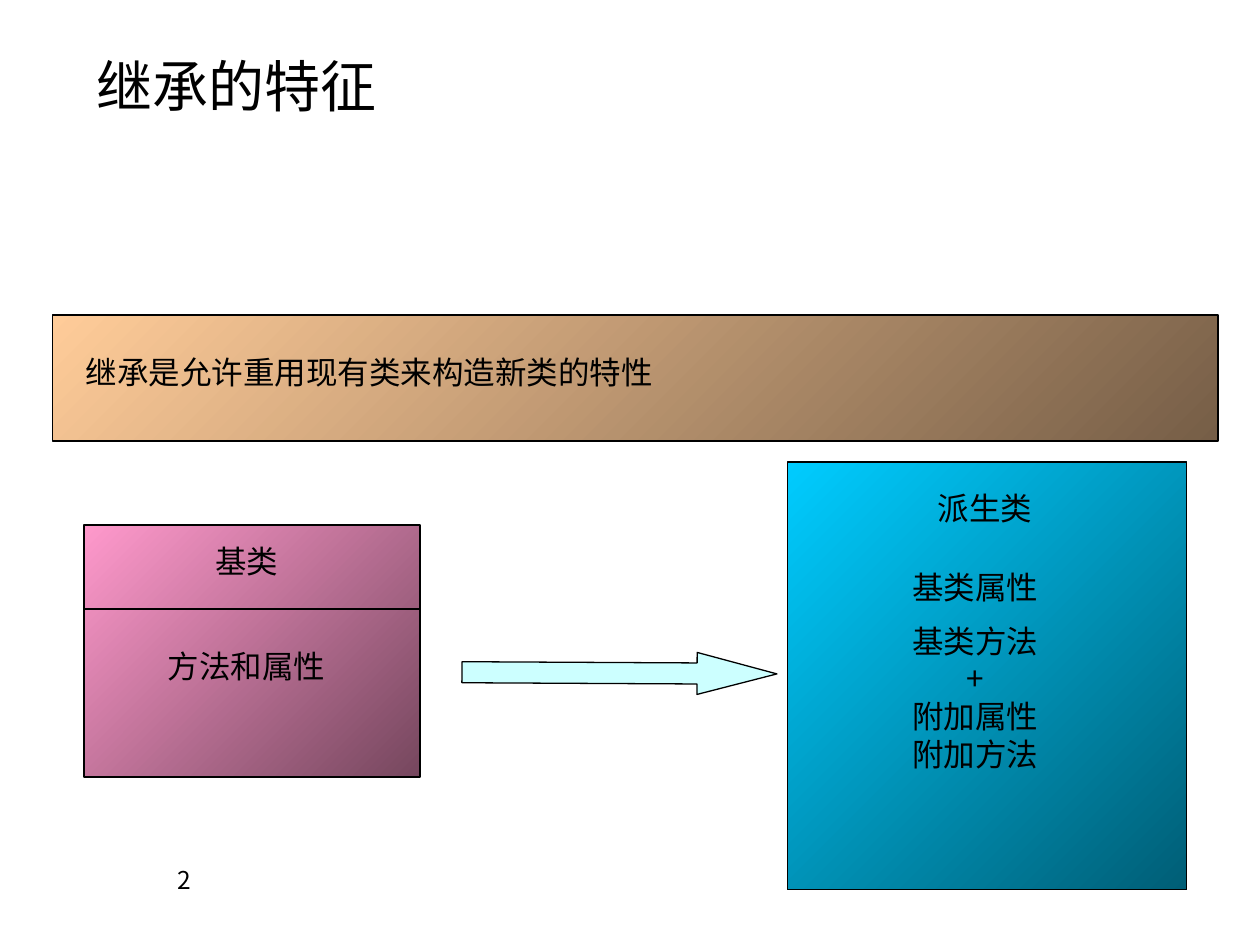
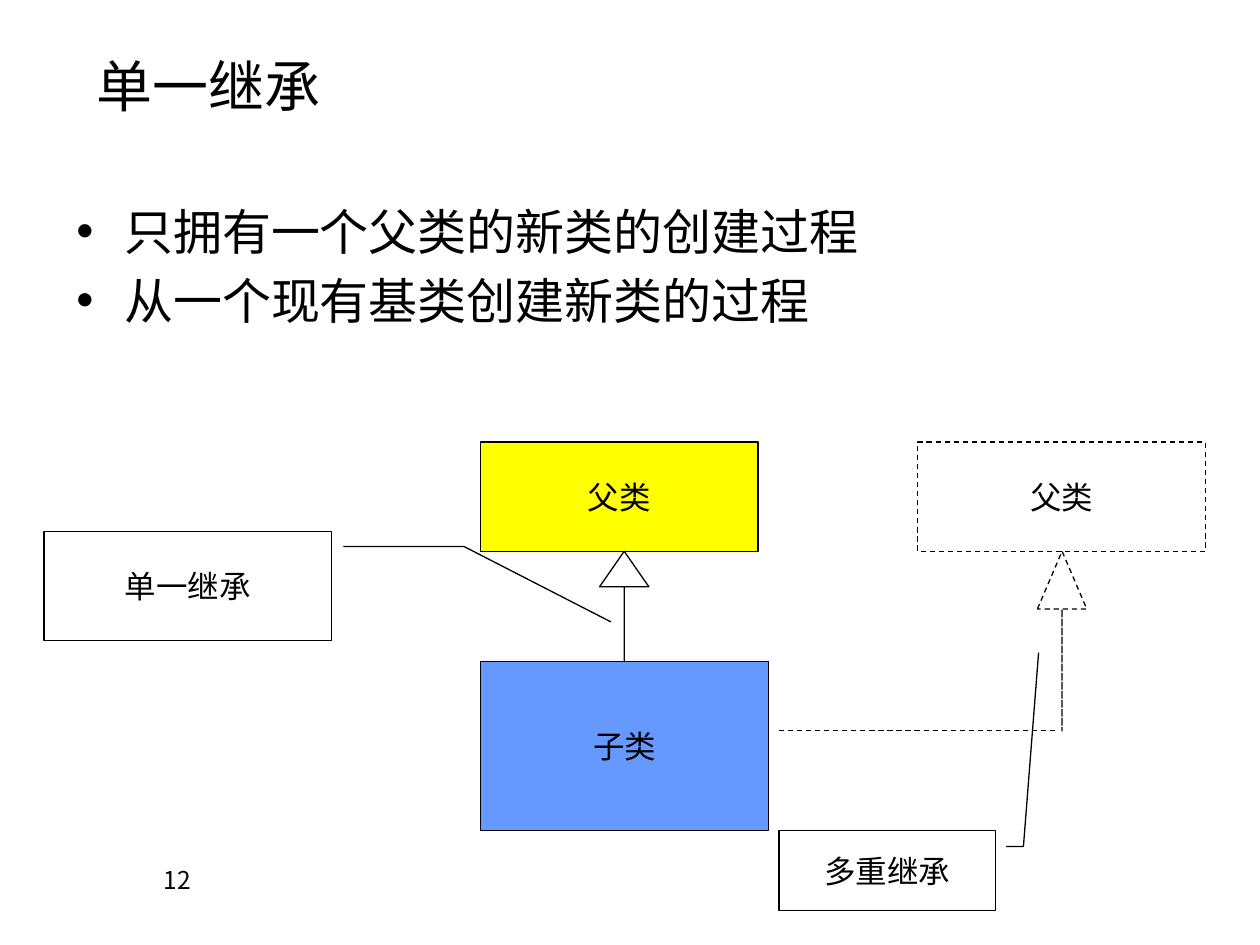
from dataclasses import dataclass

from lxml.etree import SubElement
from pptx import Presentation
from pptx.dml.color import RGBColor
from pptx.enum.dml import MSO_LINE
from pptx.enum.shapes import MSO_CONNECTOR, MSO_SHAPE
from pptx.enum.text import MSO_ANCHOR, PP_ALIGN
from pptx.oxml.ns import qn
from pptx.util import Inches, Pt


@dataclass(frozen=True)
class Theme:
    font: str = "Noto Sans CJK SC"
    ink: str = "000000"
    # Gradient pairs, light corner to dark corner
    notion: tuple = ("FFCC99", "765E47")
    base: tuple = ("FF99CC", "76475E")
    derived: tuple = ("00CCFF", "005E76")
    arrow: str = "CCFFFF"
    parent: str = "FFFF00"
    child: str = "6699FF"
    # Type sizes and line width in points
    title_size: int = 32
    body_size: int = 28
    label_size: int = 18
    number_size: int = 14
    outline: float = 0.75


def apply_format(target, values):
    for name, value in values.items():
        setattr(target, name, value)


class Deck:
    """Draws on a grid of 120 columns by 90 rows."""

    COLUMNS = 120

    def __init__(self, theme):
        self.theme = theme
        self.deck = Presentation()
        apply_format(self.deck, {"slide_width": Inches(10), "slide_height": Inches(7.5)})
        self.cell = self.deck.slide_width / self.COLUMNS
        self.slide = None

    def grid(self, *cells):
        return [round(count * self.cell) for count in cells]

    # Slide with its shared title and number
    def start(self, title, number):
        self.slide = self.deck.slides.add_slide(self.deck.slide_layouts[6])
        self.text((8, 2.5, 103, 11.3), [title], self.theme.title_size,
                  anchor=MSO_ANCHOR.MIDDLE)
        self.text((2.4, 81.8, 17, 6.2), [number], self.theme.number_size, PP_ALIGN.RIGHT)

    # Text
    def fill_lines(self, frame, lines, size, align, gaps=(), bullet=False):
        for index, line in enumerate(lines):
            paragraph = frame.paragraphs[0] if index == 0 else frame.add_paragraph()
            if bullet:
                properties = paragraph._p.get_or_add_pPr()
                properties.set("marL", str(Inches(0.38)))
                properties.set("indent", str(-Inches(0.38)))
                SubElement(properties, qn("a:buFont"), typeface="Arial")
                SubElement(properties, qn("a:buChar"), char="•")
            paragraph.alignment = align
            if index and index <= len(gaps):
                paragraph.space_before = Pt(gaps[index - 1])
            paragraph.text = line
            for run in paragraph.runs:
                apply_format(run.font, {"size": Pt(size), "name": self.theme.font})
                run.font.color.rgb = RGBColor.from_string(self.theme.ink)
                SubElement(run._r.get_or_add_rPr(), qn("a:ea"), typeface=self.theme.font)

    def text(self, area, lines, size=None, align=PP_ALIGN.LEFT,
             anchor=MSO_ANCHOR.TOP, gaps=(), bullet=False):
        frame = self.slide.shapes.add_textbox(*self.grid(*area)).text_frame
        apply_format(frame, {"word_wrap": True, "vertical_anchor": anchor})
        self.fill_lines(frame, lines, size or self.theme.label_size, align, gaps, bullet)

    # Outlines and shapes
    def outline(self, line, dashed):
        line.color.rgb = RGBColor.from_string(self.theme.ink)
        line.width = Pt(self.theme.outline)
        if dashed:
            line.dash_style = MSO_LINE.DASH

    def shape(self, area, kind=MSO_SHAPE.RECTANGLE, fill=None, label=None,
              adjust=(), rotation=0, dashed=False):
        shape = self.slide.shapes.add_shape(kind, *self.grid(*area))
        shape.shadow.inherit = False
        shape.rotation = rotation
        for index, value in enumerate(adjust):
            shape.adjustments[index] = value
        if fill is None:
            shape.fill.background()
        elif isinstance(fill, tuple):
            shape.fill.gradient()
            shape.fill.gradient_angle = 315
            for stop, color in zip(shape.fill.gradient_stops, fill):
                stop.color.rgb = RGBColor.from_string(color)
        else:
            shape.fill.solid()
            shape.fill.fore_color.rgb = RGBColor.from_string(fill)
        self.outline(shape.line, dashed)
        if label:
            apply_format(shape.text_frame,
                         {"word_wrap": False, "vertical_anchor": MSO_ANCHOR.MIDDLE})
            self.fill_lines(shape.text_frame, [label], self.theme.label_size,
                            PP_ALIGN.CENTER)

    def rule(self, left, right, row, dashed=False):
        rule = self.slide.shapes.add_connector(
            MSO_CONNECTOR.STRAIGHT, *self.grid(left, row, right, row))
        self.outline(rule.line, dashed)
        SubElement(rule._element.spPr, qn("a:effectLst"))


def inheritance_features(deck):
    theme = deck.theme
    deck.start("继承的特征", "2")

    # Definition band
    deck.shape((5, 30, 111, 12), fill=theme.notion)
    deck.text((7, 33, 109, 4.8), ["继承是允许重用现有类来构造新类的特性"])

    # Base class
    deck.shape((8, 50, 32, 24), fill=theme.base)
    deck.text((11.5, 51, 24, 4.8), ["基类"], align=PP_ALIGN.CENTER)
    deck.rule(8, 40, 58)
    deck.text((12, 61, 23, 4.8), ["方法和属性"], align=PP_ALIGN.CENTER)

    # Arrow to the derived class
    deck.shape((57, 49.1, 4, 30), MSO_SHAPE.DOWN_ARROW, theme.arrow,
               adjust=(0.5, 1.9), rotation=270.3)

    # Derived class
    deck.shape((75, 44, 38, 40.7), fill=theme.derived)
    deck.text((80.8, 46, 26, 4.8), ["派生类"], align=PP_ALIGN.CENTER)
    deck.text((70.4, 53.5, 45, 21.2),
              ["基类属性", "基类方法", "+\v附加属性", "附加方法"],
              align=PP_ALIGN.CENTER, gaps=(theme.label_size / 2,))


def single_inheritance(deck):
    theme = deck.theme
    deck.start("单一继承", "12")
    deck.text((6.1, 18.6, 105.8, 62.4),
              ["只拥有一个父类的新类的创建过程", "从一个现有基类创建新类的过程"],
              theme.body_size, gaps=(theme.body_size / 5,), bullet=True)

    # Parent and child
    parent_top, parent_height = 42.1, 10.4
    parent_bottom = parent_top + parent_height
    deck.shape((45.8, parent_top, 26.4, parent_height), fill=theme.parent, label="父类")
    deck.shape((45.8, 63, 27.4, 16.1), fill=theme.child, label="子类")
    deck.shape((57.1, parent_bottom, 4.7, 10.5), MSO_SHAPE.UP_ARROW, adjust=(0, 0.72))

    # Possible second parent
    deck.shape((87.4, parent_top, 27.4, parent_height), label="父类", dashed=True)
    deck.rule(74.2, 100.7, 69.6, dashed=True)
    deck.shape((98.8, parent_bottom, 4.7, 17.1), MSO_SHAPE.UP_ARROW,
               adjust=(0, 1.17), dashed=True)

    # Callouts: adjustments are y, x pairs along the leader
    callouts = (
        ("单一继承", (4.2, 50.6, 27.4, 10.4), (0.14, 1.04, 0.14, 1.46, 0.83, 1.97)),
        ("多重继承", (74.2, 79.1, 20.6, 7.6), (0.2, 1.05, 0.2, 1.13, -2.23, 1.2)),
    )
    for label, area, leader in callouts:
        deck.shape(area, MSO_SHAPE.LINE_CALLOUT_2, label=label, adjust=leader)


def main():
    deck = Deck(Theme())
    inheritance_features(deck)
    single_inheritance(deck)
    deck.deck.save("out.pptx")


if __name__ == "__main__":
    main()
